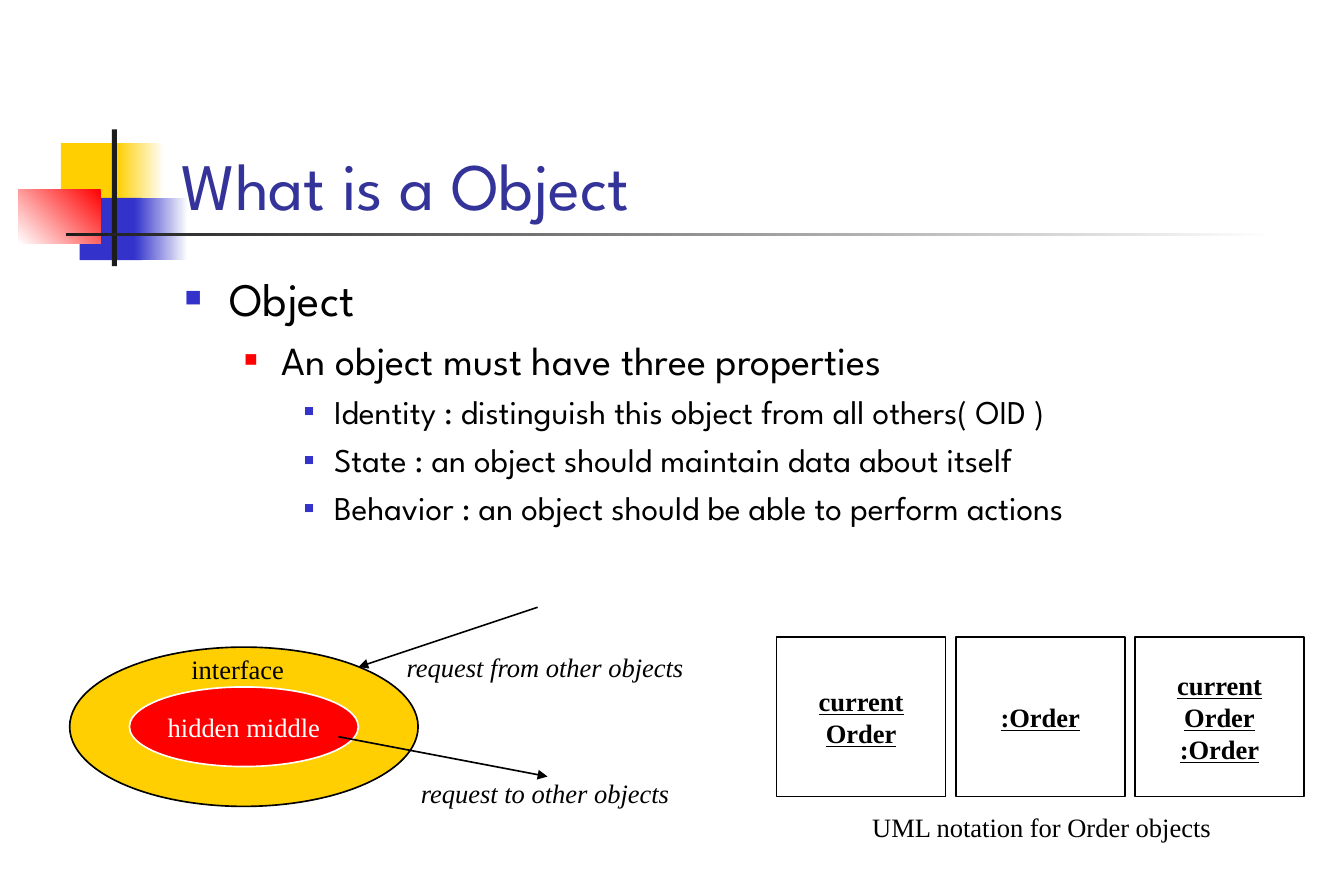
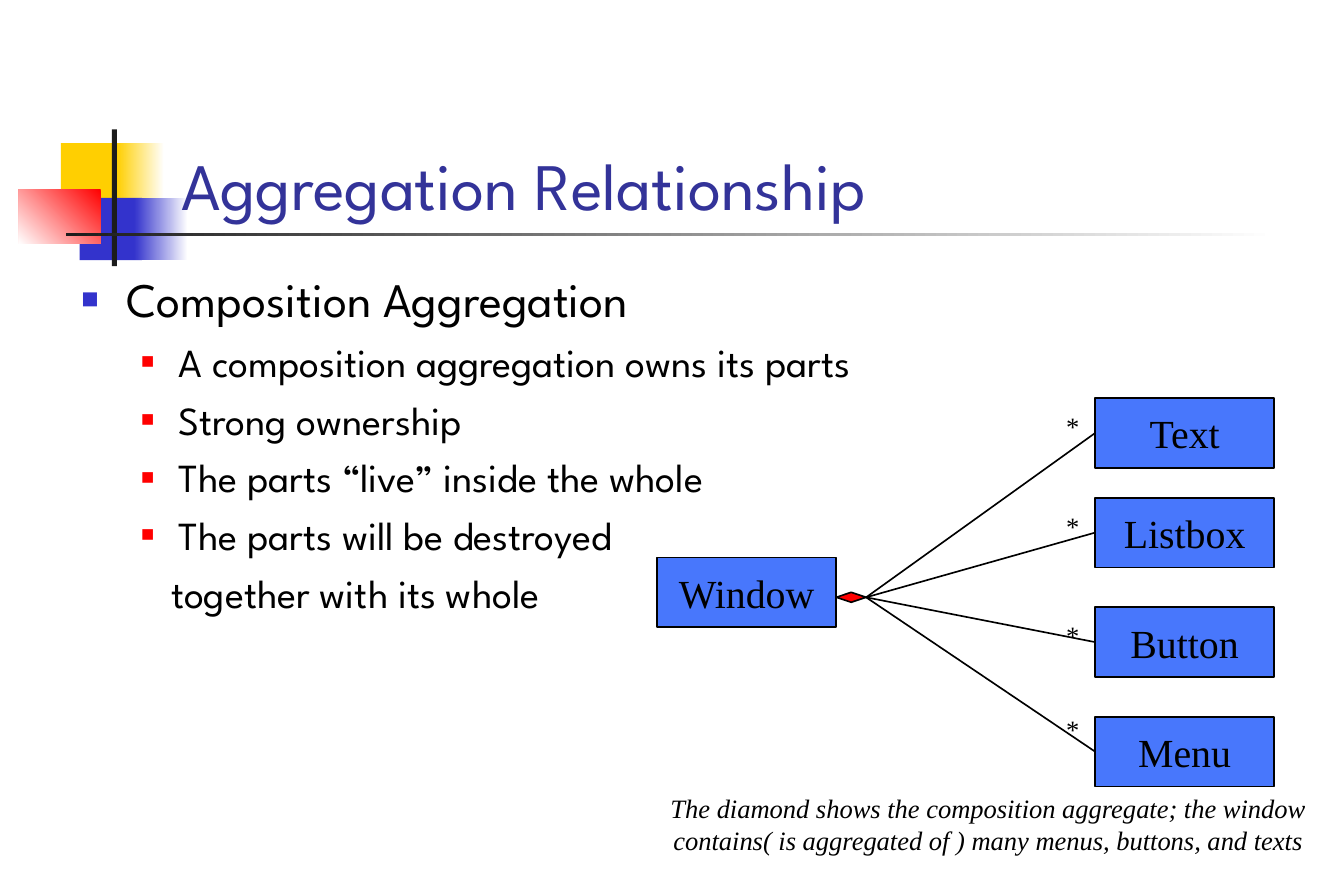
from lxml import etree
from pptx import Presentation
from pptx.dml.color import RGBColor
from pptx.enum.shapes import MSO_CONNECTOR as Link, MSO_SHAPE as Kind
from pptx.enum.text import MSO_ANCHOR as Anchor, MSO_AUTO_SIZE as Fit, PP_ALIGN as Align
from pptx.oxml.ns import qn
from pptx.util import Emu, Pt

# Shared style; 96 px to the inch
PX = 9525
SANS, SERIF = "League Spartan", "Times New Roman"
BLACK, WHITE, GOLD, RED = "000000", "FFFFFF", "FFCF01", "FF0000"
BLUE, NAVY, DARK, SKY = "3333CC", "333399", "1C1C1C", "4877FC"
TITLE = (136, 65, 920, 120)

# Emblem and rule: box, then one colour or (from, to, angle)
DECOR = [
    ((49, 115, 52, 50), GOLD),
    ((94, 115, 38, 50), (WHITE, GOLD, 180)),
    ((64, 159, 50, 50), BLUE),
    ((108, 159, 43, 50), (WHITE, BLUE, 180)),
    ((15, 152, 66, 44), (RED, WHITE, 225)),
    ((90, 104, 4, 110), DARK),
    ((53, 187, 972, 3), (WHITE, DARK, 180)),
]

# Outline levels: margin, indent, size, space before, bullet colour and percent
LEVELS = {
    0: (36, -36, 28, 7, BLUE, 60),
    1: (78, -30, 24, 6, RED, 55),
    2: (120, -24, 20, 5, BLUE, 50),
}

# Slide 1 content: level and text
OBJECT = [
    (0, "Object"),
    (1, "An object must have three properties"),
    (2, "Identity : distinguish this object from all others( OID )"),
    (2, "State : an object should maintain data about itself"),
    (2, "Behavior : an object should be able to perform actions"),
]
NOTES = [
    ("interface", (131, 520, 120, 36), False),
    ("request from other objects", (308, 518, 260, 36), True),
    ("request to other objects", (318, 620, 240, 36), True),
    ("UML notation for Order objects", (682, 647, 310, 36), False),
]
CALLS = [((432, 488), (288, 536)), ((272, 592), (440, 624))]
ORDERS = [["current", "Order"], [":Order"], ["current", "Order", ":Order"]]

# Slide 2 content
OWNING = [
    (0, "Composition Aggregation"),
    (1, "A composition aggregation owns its parts"),
    (1, "Strong ownership"),
    (1, "The parts “live” inside the whole"),
    (1, "The parts will be destroyed"),
]
TAIL = "together with its whole"
# Part name, top of its box, top of its star
PARTS = [("Text", 320, 325), ("Listbox", 400, 405),
         ("Button", 488, 493), ("Menu", 576, 568)]
CAPTION = ["The diamond shows the composition aggregate; the window",
           "contains( is aggregated of ) many menus, buttons, and texts"]


def px(*nums):
    return [Emu(n * PX) for n in nums]


def color(code):
    return RGBColor.from_string(code)


def add_run(para, text, size, face, ink, bold=False, italic=False, under=False):
    run = para.add_run()
    run.text = text
    font = run.font
    font.size, font.name, font.color.rgb = Pt(size), face, color(ink)
    font.bold, font.italic, font.underline = bold, italic, under


def next_para(frame, first):
    return frame.paragraphs[0] if first else frame.add_paragraph()


def center(frame, lines, size=16, ink=BLACK, **style):
    frame.word_wrap = False
    for i, line in enumerate(lines):
        para = next_para(frame, i == 0)
        para.alignment = Align.CENTER
        add_run(para, line, size, SERIF, ink, **style)


def add_form(slide, kind, box, fill, line=None):
    form = slide.shapes.add_shape(kind, *px(*box))
    form.shadow.inherit = False
    if isinstance(fill, tuple):
        form.fill.gradient()
        form.fill.gradient_angle = fill[2]
        for stop, code in zip(form.fill.gradient_stops, fill):
            stop.color.rgb = color(code)
    else:
        form.fill.solid()
        form.fill.fore_color.rgb = color(fill)
    if line:
        form.line.color.rgb = color(line)
        form.line.width = Pt(1)
    else:
        form.line.fill.background()
    form.text_frame.vertical_anchor = Anchor.MIDDLE
    return form


def add_note(slide, lines, box, italic=False):
    note = slide.shapes.add_textbox(*px(*box))
    center(note.text_frame, lines, italic=italic)


def add_link(slide, start, end, arrow=False):
    link = slide.shapes.add_connector(Link.STRAIGHT, *px(*start, *end))
    link.line.color.rgb = color(BLACK)
    link.line.width = Pt(1)
    if arrow:
        etree.SubElement(link.line._get_or_add_ln(), qn("a:tailEnd"), type="triangle")
    etree.SubElement(link._element.spPr, qn("a:effectLst"))
    return link


def indent(para, margin, hang):
    props = para._p.get_or_add_pPr()
    props.set("marL", str(margin * PX))
    props.set("indent", str(hang * PX))
    return props


def add_list(slide, items, box, sizes):
    frame = slide.shapes.add_textbox(*px(*box)).text_frame
    frame.word_wrap = True
    for i, (level, text) in enumerate(items):
        margin, hang, size, gap, ink, share = LEVELS[level]
        para = next_para(frame, i == 0)
        para.level = level
        props = indent(para, margin, hang)
        tint = etree.SubElement(props, qn("a:buClr"))
        etree.SubElement(tint, qn("a:srgbClr"), val=ink)
        etree.SubElement(props, qn("a:buSzPct"), val=str(share * 1000))
        etree.SubElement(props, qn("a:buFont"), typeface=SERIF)
        etree.SubElement(props, qn("a:buChar"), char="■")
        if i:
            para.space_before = Pt(gap)
        add_run(para, text, sizes.get(level, size), SANS, BLACK)
    return frame


def add_page(deck, text):
    slide = deck.slides.add_slide(deck.slide_layouts[5])
    for box, fill in DECOR:
        add_form(slide, Kind.RECTANGLE, box, fill)
    title = slide.shapes.title
    title.left, title.top, title.width, title.height = px(*TITLE)
    frame = title.text_frame
    frame.word_wrap, frame.auto_size = True, Fit.NONE
    frame.vertical_anchor = Anchor.BOTTOM
    para = frame.paragraphs[0]
    para.alignment = Align.LEFT
    add_run(para, text, 40, SANS, NAVY)
    # Title in front of the emblem
    slide.shapes._spTree.append(title._element)
    return slide


def object_page(deck):
    slide = add_page(deck, "What is a Object")
    add_list(slide, OBJECT, (139, 212, 918, 432), {})
    # Object with its interface and hidden core
    add_form(slide, Kind.OVAL, (56, 520, 280, 128), GOLD, BLACK)
    core = add_form(slide, Kind.OVAL, (104, 552, 184, 64), RED, WHITE)
    center(core.text_frame, ["hidden middle"], ink=WHITE)
    for start, end in CALLS:
        add_link(slide, start, end, arrow=True)
    # UML boxes
    for i, lines in enumerate(ORDERS):
        box = add_form(slide, Kind.RECTANGLE, (624 + 144 * i, 512, 136, 128), WHITE, BLACK)
        center(box.text_frame, lines, bold=True, under=True)
    for text, spot, italic in NOTES:
        add_note(slide, [text], spot, italic)


def owning_page(deck):
    slide = add_page(deck, "Aggregation Relationship")
    frame = add_list(slide, OWNING, (56, 212, 918, 412), {0: 29})
    # Last line, without a bullet
    para = frame.add_paragraph()
    para.level = 1
    etree.SubElement(indent(para, 72, 0), qn("a:buNone"))
    para.space_before = Pt(6)
    add_run(para, TAIL, 24, SANS, BLACK)

    # Whole, diamond and parts
    def add_class(name, left, top):
        box = add_form(slide, Kind.RECTANGLE, (left, top, 144, 56), SKY, BLACK)
        center(box.text_frame, [name], 24)
        return box

    add_class("Window", 528, 448)
    gem = add_form(slide, Kind.DIAMOND, (672, 476, 24, 8), RED, BLACK)
    for name, top, star in PARTS:
        part = add_class(name, 880, top)
        link = add_link(slide, (696, 480), (880, top + 28))
        link.begin_connect(gem, 3)
        link.end_connect(part, 1)
        add_note(slide, ["*"], (842, star, 40, 36))
    add_note(slide, CAPTION, (514, 632, 560, 61), True)


def main():
    deck = Presentation()
    deck.slide_width, deck.slide_height = px(1080, 720)
    object_page(deck)
    owning_page(deck)
    deck.save("out.pptx")


if __name__ == "__main__":
    main()
